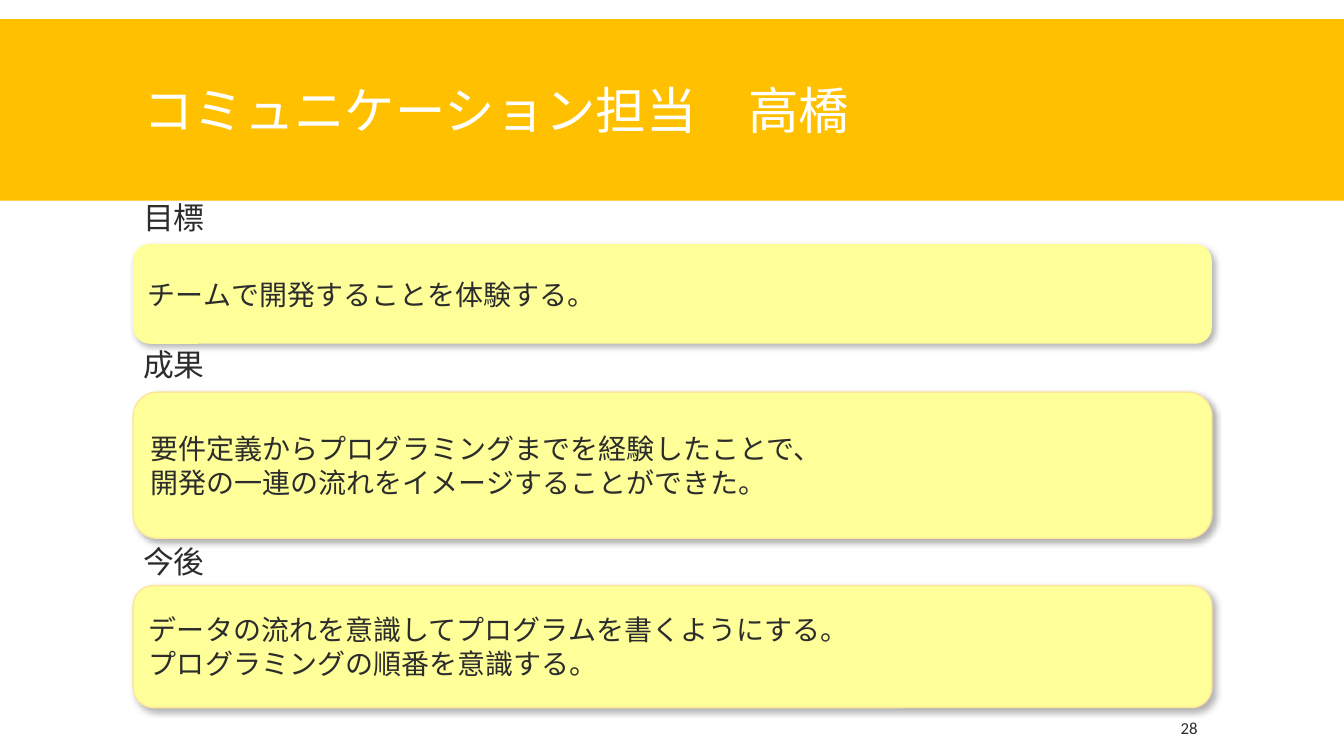
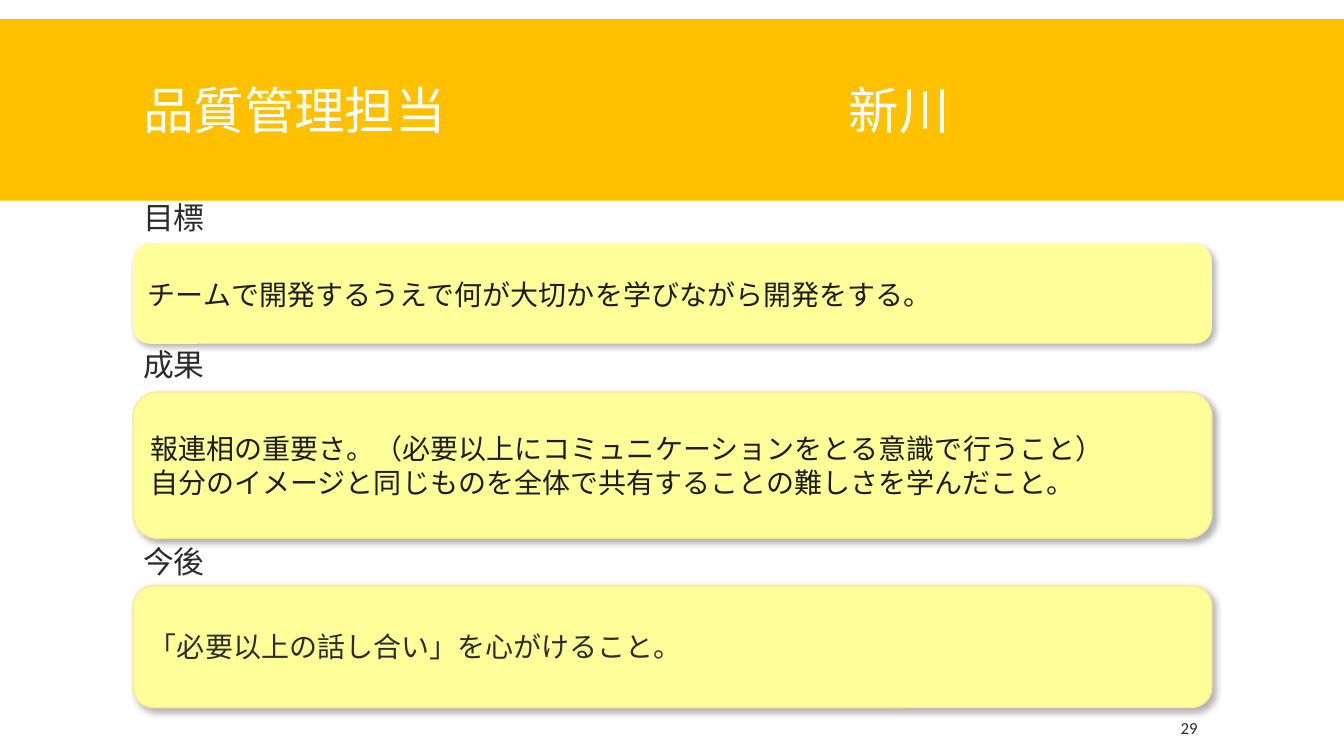
import pptx
import pptx.util
import pptx.dml.color
import pptx.enum.shapes
import pptx.enum.text
import lxml.etree

Inches = pptx.util.Inches
Pt = pptx.util.Pt
TEXT = pptx.enum.text
SHAPE = pptx.enum.shapes.MSO_SHAPE
NS = "http://schemas.openxmlformats.org/drawingml/2006/main"

GOLD, CREAM, EDGE = "FFC000", "FFFF99", "FFE699"
INK, DARK, WHITE = "2C2C2C", "1D1C1D", "FFFFFF"
SANS, NOTO = "Calibri", "Noto Sans CJK JP"

LEFT, WIDE = 1.32, 10.7
BAND = (0, 0.19, 13.33, 1.8)
TITLE = (LEFT, 0.31, WIDE, 1.65)
BODY = (LEFT, 1.99, 8.28, 4.01)
NUMBER = (11.66, 7.02, 1.03, 0.4)
CARDS = [
    ((LEFT, 2.42, WIDE, 0.99), None),
    ((LEFT, 3.89, WIDE, 1.45), EDGE),
    ((LEFT, 5.81, WIDE, 1.21), EDGE),
]
HEADS = [("目標", 0), ("成果", 82), ("今後", 117.5)]
FRAME = {
    "word_wrap": True,
    "auto_size": TEXT.MSO_AUTO_SIZE.NONE,
    "vertical_anchor": TEXT.MSO_ANCHOR.MIDDLE,
}

PAGES = [
    {
        "title": "コミュニケーション担当\t高橋",
        "tab": 6,
        "number": "28",
        "cards": [
            (["チームで開発することを体験する。"], SANS, INK),
            (["要件定義からプログラミングまでを経験したことで、",
              "開発の一連の流れをイメージすることができた。"], SANS, INK),
            (["データの流れを意識してプログラムを書くようにする。",
              "プログラミングの順番を意識する。"], SANS, INK),
        ],
    },
    {
        "title": "品質管理担当\t新川",
        "tab": 7,
        "number": "29",
        "cards": [
            (["チームで開発するうえで何が大切かを学びながら開発をする。"], NOTO, DARK),
            (["報連相の重要さ。（必要以上にコミュニケーションをとる意識で行うこと）",
              "自分のイメージと同じものを全体で共有することの難しさを学んだこと。"], NOTO, DARK),
            (["「必要以上の話し合い」を心がけること。"], NOTO, INK),
        ],
    },
]


def tint(code):
    return pptx.dml.color.RGBColor.from_string(code)


def apply(item, values):
    for key, value in values.items():
        setattr(item, key, value)


def node(parent, tag, **values):
    child = lxml.etree.SubElement(parent, f"{{{NS}}}{tag}")
    for key, value in values.items():
        child.set(key, str(value))
    return child


def place(shape, box):
    names = ("left", "top", "width", "height")
    apply(shape, dict(zip(names, map(Inches, box))))


def write(frame, lines, size, color, font=SANS, **extra):
    apply(frame, {**FRAME, **extra})
    frame.text = "\n".join(lines)
    for para in frame.paragraphs:
        para.alignment = TEXT.PP_ALIGN.LEFT
        for run in para.runs:
            apply(run.font, {"name": font, "size": Pt(size)})
            run.font.color.rgb = tint(color)


def panel(slide, kind, box, fill, edge=None):
    shape = slide.shapes.add_shape(kind, *map(Inches, box))
    shape.shadow.inherit = False
    shape.fill.solid()
    shape.fill.fore_color.rgb = tint(fill)
    if edge:
        shape.line.color.rgb = tint(edge)
        shape.line.width = Pt(1)
    else:
        shape.line.fill.background()
    return shape


def shade(shape):
    effect = shape.element.spPr.find(f"{{{NS}}}effectLst")
    outer = node(effect, "outerShdw", blurRad=Pt(4.5), dist=Pt(2.6),
                 dir=53 * 60000, algn="tl", rotWithShape=0)
    color = node(outer, "srgbClr", val="000000")
    node(color, "alpha", val=30000)


def header(slide, box, text, tab):
    title = slide.shapes.title
    place(title, box)
    write(title.text_frame, [text], 36, WHITE)
    para = title.text_frame.paragraphs[0]
    para.line_spacing = 0.85
    tabs = node(para._p.get_or_add_pPr(), "tabLst")
    node(tabs, "tab", pos=Inches(tab), algn="l")


def topics(slide, box):
    body = slide.placeholders[1]
    place(body, box)
    write(body.text_frame, [name for name, gap in HEADS], 22, INK,
          vertical_anchor=TEXT.MSO_ANCHOR.TOP)
    for para, (name, gap) in zip(body.text_frame.paragraphs, HEADS):
        apply(para, {"line_spacing": 0.8, "space_before": Pt(gap),
                     "space_after": Pt(2)})
        props = para._p.get_or_add_pPr()
        props.set("marL", "0")
        props.set("indent", "0")
        node(props, "buNone")


def card(slide, box, edge, lines, font, color):
    shape = panel(slide, SHAPE.ROUNDED_RECTANGLE, box, CREAM, edge)
    shade(shape)
    write(shape.text_frame, lines, 20, color, font)


def footer(slide, box, number):
    label = slide.shapes.add_textbox(*map(Inches, box))
    write(label.text_frame, [number], 12, INK, margin_left=Inches(0.05))


def report(deck, page):
    slide = deck.slides.add_slide(deck.slide_layouts[1])
    band = panel(slide, SHAPE.RECTANGLE, BAND, GOLD)
    slide.shapes._spTree.insert(2, band.element)
    header(slide, TITLE, page["title"], page["tab"])
    topics(slide, BODY)
    footer(slide, NUMBER, page["number"])
    for (box, edge), words in zip(CARDS, page["cards"]):
        card(slide, box, edge, *words)


def main():
    deck = pptx.Presentation()
    apply(deck, {"slide_width": Inches(13.33), "slide_height": Inches(7.5)})
    for page in PAGES:
        report(deck, page)
    deck.save("out.pptx")


if __name__ == "__main__":
    main()
